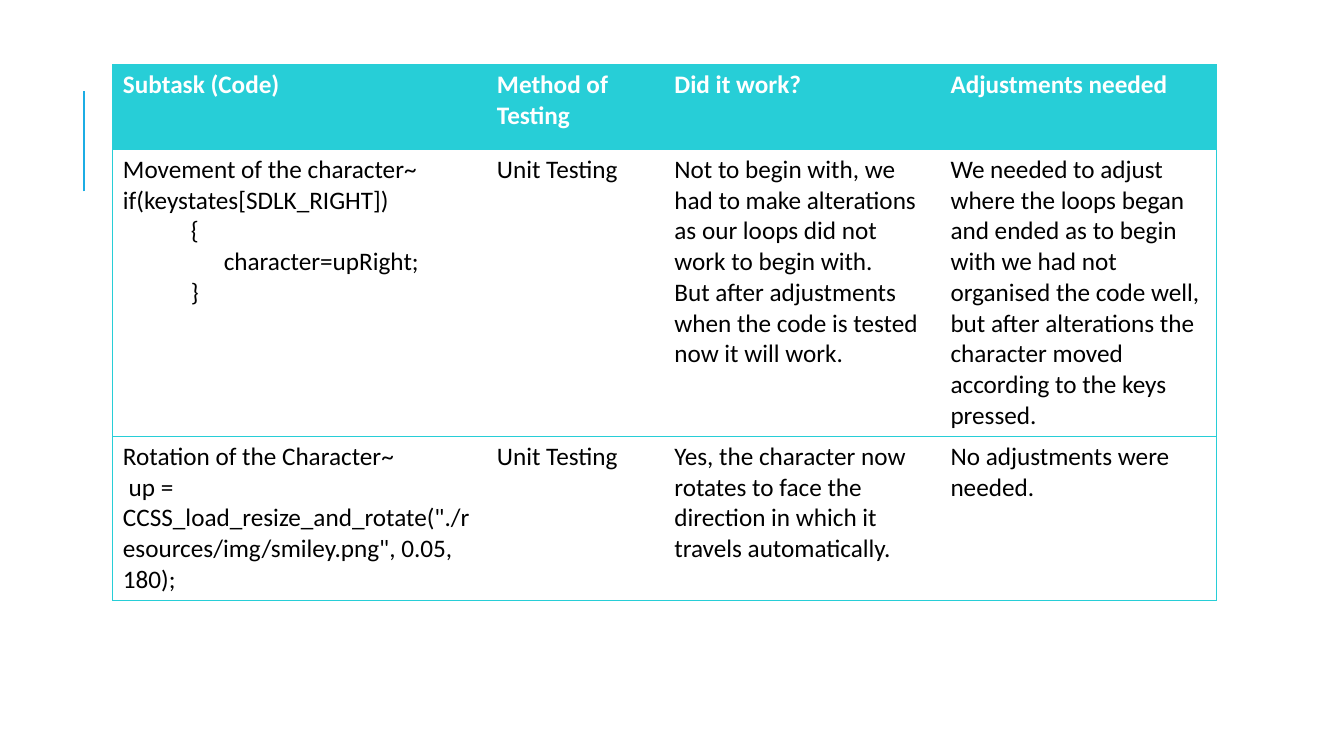
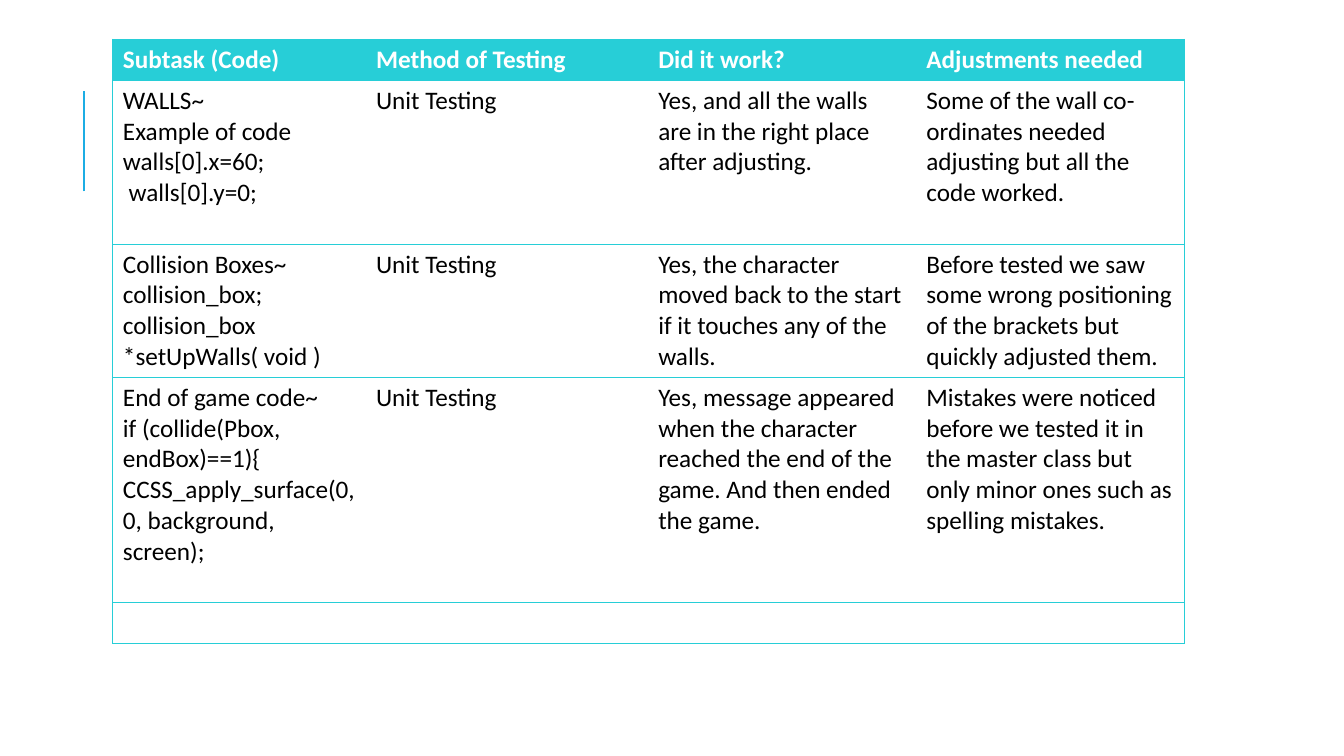
from dataclasses import dataclass

from lxml.etree import SubElement
from pptx import Presentation
from pptx.dml.color import RGBColor
from pptx.enum.shapes import MSO_CONNECTOR
from pptx.oxml.ns import qn
from pptx.slide import Slide
from pptx.table import _Cell as Cell
from pptx.text.text import _Paragraph as Para
from pptx.util import Emu, Inches, Pt

AQUA = RGBColor(0x27, 0xCE, 0xD7)
BLUE = RGBColor(0x1C, 0xAD, 0xE4)
WHITE = RGBColor(0xFF, 0xFF, 0xFF)
BLACK = RGBColor(0x00, 0x00, 0x00)
FONT = "Calibri"
SIZE = Pt(18)
WIDTH, HEIGHT = Inches(13.33), Inches(7.5)

# Shares are percentages of the slide's width or height.
LEFT = 8.4
LINE, PAD = 4.07, 1.33  # one line of text; top and bottom cell margins
BAR_X, BAR_TOP, BAR_END = 6.25, 12, 25.33
NO_GRID = "{2D5ABB26-0587-4C30-8999-92F81FD0307C}"
HEADS = ("Subtask (Code)", "Method of Testing", "Did it work?", "Adjustments needed")


@dataclass(frozen=True)
class Code:
    """A line of code, indented by a share of the width."""
    text: str
    indent: float = 0


@dataclass(frozen=True)
class Row:
    """One table row: its height in text lines, and its cells."""
    lines: float
    cells: tuple[tuple[str | Code, ...], ...]


@dataclass(frozen=True)
class Page:
    """One slide: the table's top, column widths and rows."""
    top: float
    cols: tuple[float, ...]
    rows: tuple[Row, ...]


def across(share: float) -> Emu:
    """Turn a share of the width into a length."""
    return Emu(round(WIDTH * share / 100))


def down(share: float) -> Emu:
    """Turn a share of the height into a length."""
    return Emu(round(HEIGHT * share / 100))


def tall(lines: float) -> Emu:
    """Give the height of a row that holds so many lines."""
    return down(lines * LINE + PAD)


def head(lines: float) -> Row:
    """Make the header row."""
    return Row(lines, tuple((name,) for name in HEADS))


def add_bar(slide: Slide) -> None:
    """Draw the upright accent line."""
    bar = slide.shapes.add_connector(
        MSO_CONNECTOR.STRAIGHT, across(BAR_X), down(BAR_END), across(BAR_X), down(BAR_TOP))
    bar.line.color.rgb = BLUE
    bar.line.width = Pt(1.5)
    SubElement(bar._element.spPr, qn("a:effectLst"))


def add_edge(cell: Cell, side: str, shown: bool) -> None:
    """Set one border of a cell, coloured or clear."""
    edge = SubElement(cell._tc.get_or_add_tcPr(), qn(f"a:ln{side}"), w=str(Pt(0.75)))
    if shown:
        fill = SubElement(edge, qn("a:solidFill"))
        SubElement(fill, qn("a:srgbClr"), val=str(AQUA))
    else:
        SubElement(edge, qn("a:noFill"))


def add_text(para: Para, item: str | Code, top: bool) -> None:
    """Write one paragraph, breaking it at each newline."""
    code = item if isinstance(item, Code) else Code(item)
    if code.indent:
        para._p.get_or_add_pPr().set("marL", str(across(code.indent)))
    for i, part in enumerate(code.text.split("\n")):
        if i:
            para.add_line_break()
        run = para.add_run()
        run.text = part
        font = run.font
        font.name, font.size, font.bold = FONT, SIZE, top
        font.color.rgb = WHITE if top else BLACK


def fill_cell(cell: Cell, items: tuple[str | Code, ...], top: bool,
              first: bool, last: bool) -> None:
    """Style a cell and write its text."""
    for side, shown in (("L", first), ("R", last), ("T", True), ("B", True)):
        add_edge(cell, side, shown)
    if top:
        cell.fill.solid()
        cell.fill.fore_color.rgb = AQUA
    else:
        cell.fill.background()
    frame = cell.text_frame
    for i, item in enumerate(items):
        add_text(frame.add_paragraph() if i else frame.paragraphs[0], item, top)


def add_grid(slide: Slide, page: Page) -> None:
    """Build the table of a page."""
    wide = len(page.cols)
    frame = slide.shapes.add_table(
        len(page.rows), wide, across(LEFT), down(page.top),
        across(sum(page.cols)), Emu(sum(tall(row.lines) for row in page.rows)))
    table = frame.table
    table.horz_banding = False
    table._tbl.tblPr.find(qn("a:tableStyleId")).text = NO_GRID
    for col, share in zip(table.columns, page.cols):
        col.width = across(share)
    for r, row in enumerate(page.rows):
        table.rows[r].height = tall(row.lines)
        for c, items in enumerate(row.cells):
            fill_cell(table.cell(r, c), items, r == 0, c == 0, c == wide - 1)


UNIT = ("Unit Testing",)
PAGES = (
    Page(8.53, (27.83, 13.2, 20.55, 20.55), (
        head(2.43),
        Row(9, (
            ("Movement of the character~", "if(keystates[SDLK_RIGHT])",
             Code("{", 5.05), Code("character=upRight;", 7.5), Code("}", 5.05)),
            UNIT,
            ("Not to begin with, we had to make alterations as our loops did not "
             "work to begin with.",
             "But after adjustments when the code is tested now it will work."),
            ("We needed to adjust where the loops began and ended as to begin with "
             "we had not organised the code well, but after alterations the "
             "character moved according to the keys pressed.",))),
        Row(5, (
            ("Rotation of the Character~",
             ' up = CCSS_load_resize_and_rotate("./resources/img/smiley.png", 0.05, 180);'),
            UNIT,
            ("Yes, the character now rotates to face the direction in which it "
             "travels automatically.",),
            ("No adjustments were needed.",))))),
    Page(5.2, (18.83, 21, 19.95, 19.95), (
        head(1),
        Row(5, (
            ("WALLS~", "Example of code", "walls[0].x=60;", " walls[0].y=0;"),
            UNIT,
            ("Yes, and all the walls are in the right place after adjusting.",),
            ("Some of the wall co-ordinates needed adjusting but all the code worked.",))),
        Row(4, (
            ("Collision Boxes~", "collision_box;", "collision_box *setUpWalls( void )"),
            UNIT,
            ("Yes, the character moved back to the start if it touches any of the walls.",),
            ("Before tested we saw some wrong positioning of the brackets but "
             "quickly adjusted them.",))),
        Row(7, (
            ("End of game code~",
             "if (collide(Pbox, endBox)==1){\nCCSS_apply_surface(0, 0, background, screen);"),
            UNIT,
            ("Yes, message appeared when the character reached the end of the game. "
             "And then ended the game.",),
            ("Mistakes were noticed before we tested it in the master class but "
             "only minor ones such as spelling mistakes.",))),
        Row(1, ((),) * 4))),
)


def main() -> None:
    """Build and save the slides."""
    deck = Presentation()
    deck.slide_width, deck.slide_height = WIDTH, HEIGHT
    blank = deck.slide_layouts[6]
    for page in PAGES:
        slide = deck.slides.add_slide(blank)
        add_bar(slide)
        add_grid(slide, page)
    deck.save("out.pptx")


main()
